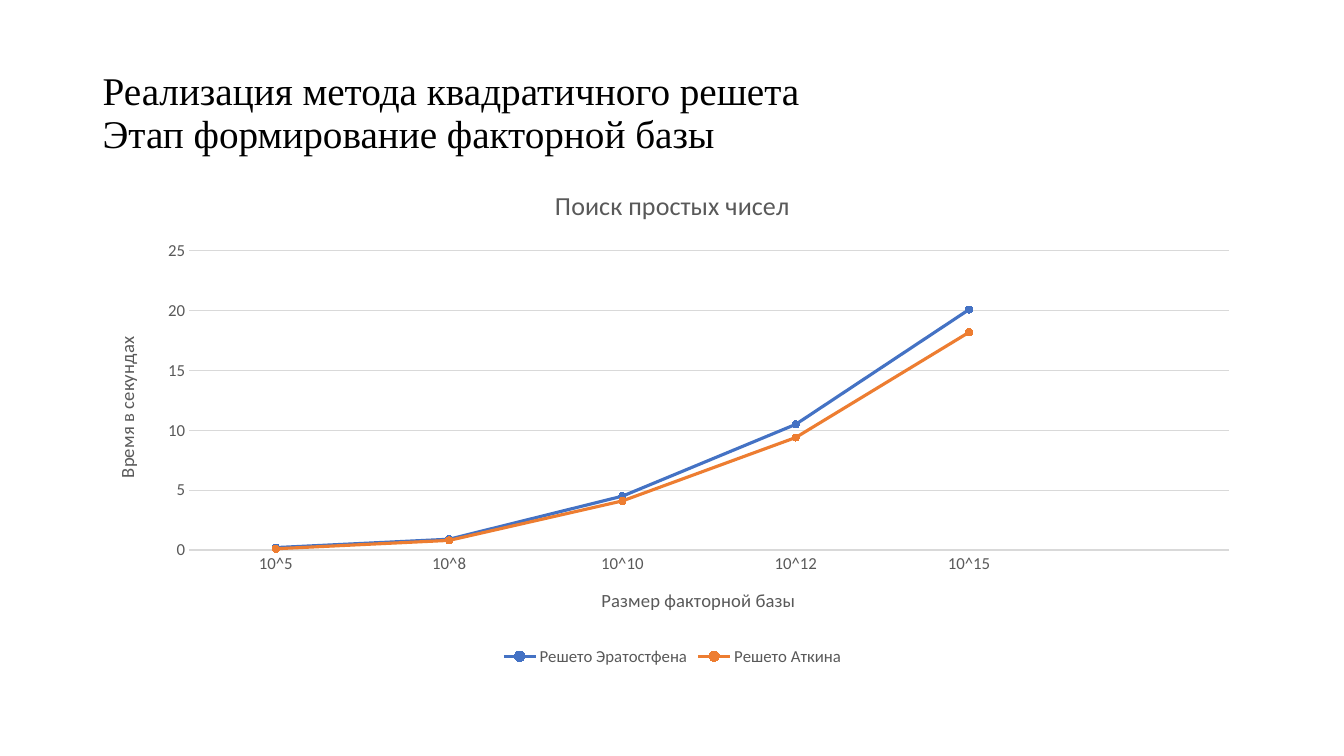
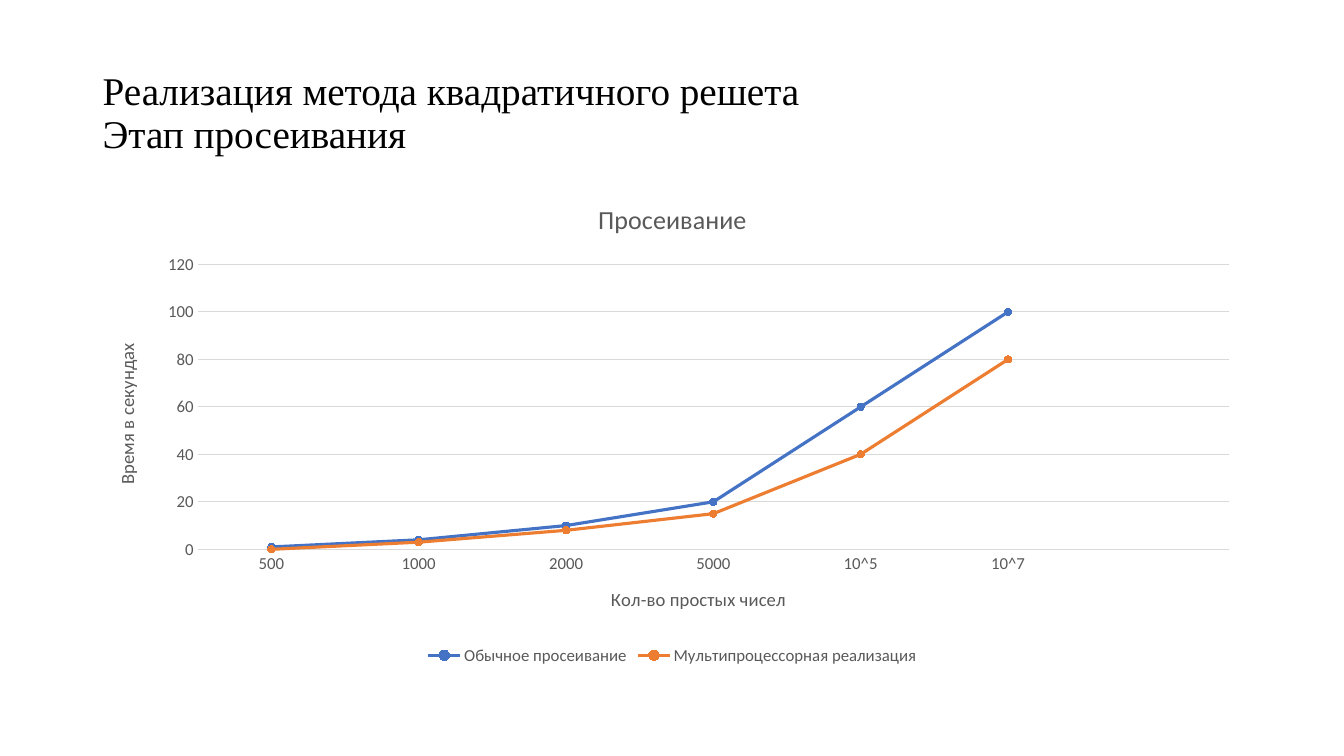
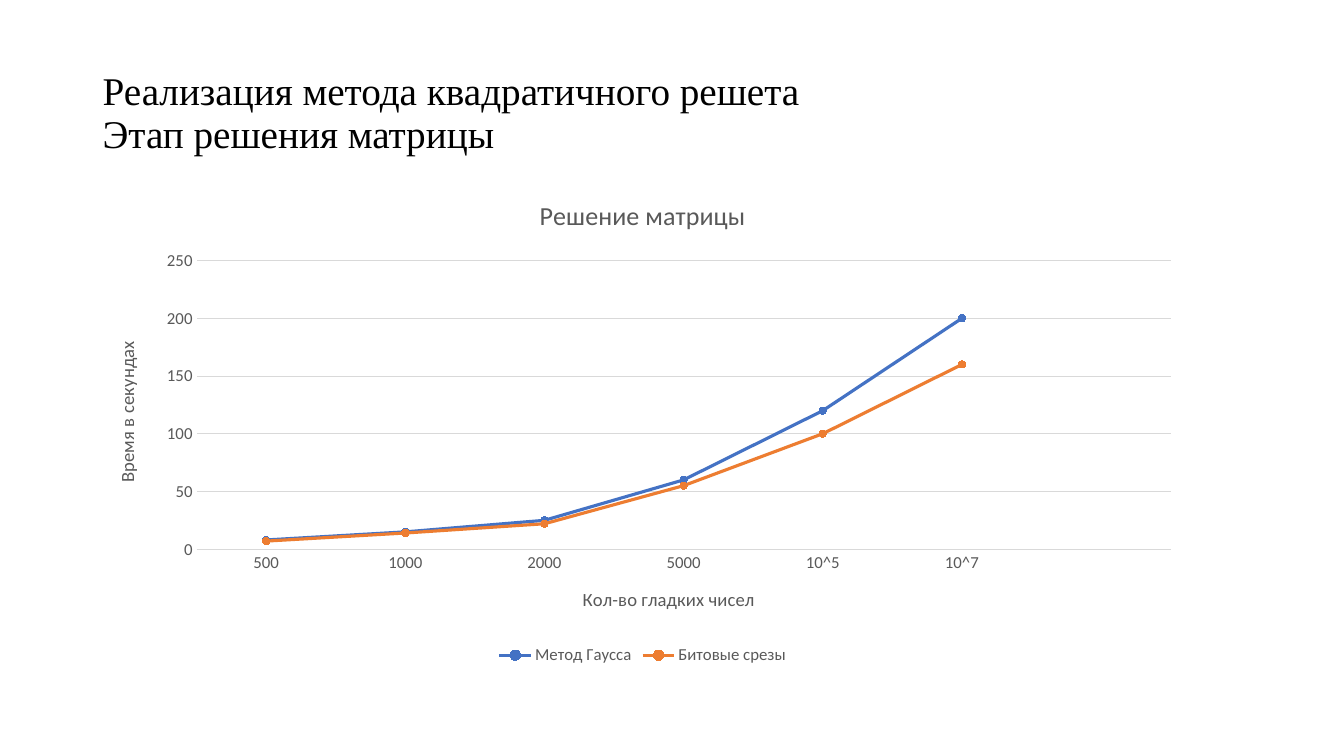
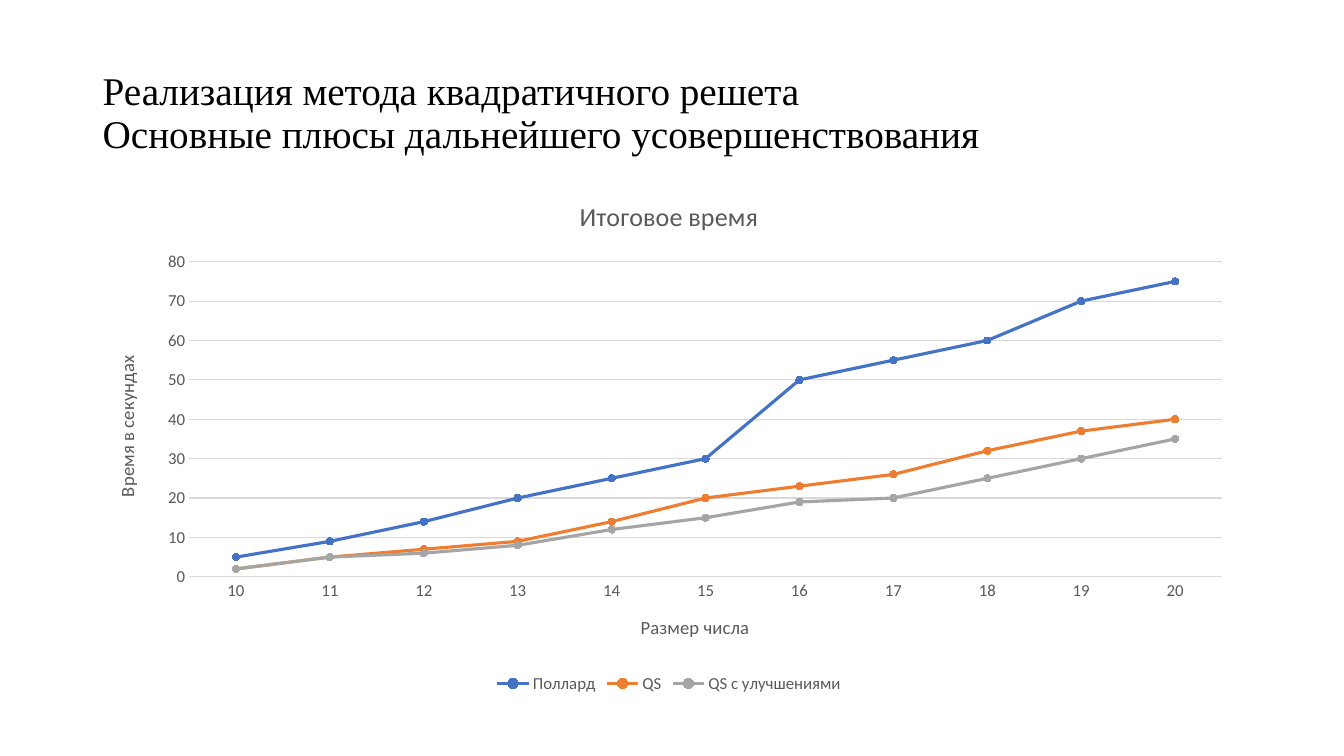
"""Build four slides that chart the timing of the quadratic sieve stages."""
from dataclasses import dataclass
from typing import Optional

from pptx import Presentation
from pptx.chart.data import CategoryChartData
from pptx.dml.color import RGBColor
from pptx.enum.chart import XL_CHART_TYPE as ChartType
from pptx.enum.chart import XL_LEGEND_POSITION as LegendPosition
from pptx.enum.chart import XL_MARKER_STYLE as MarkerStyle
from pptx.enum.chart import XL_TICK_MARK as TickMark
from pptx.enum.text import MSO_ANCHOR as Anchor
from pptx.util import Inches, Pt

COLORS = {
    "background": "FFFFFF",
    "title": "000000",
    "label": "595959",
    "grid": "D9D9D9",
}
SERIES_COLORS = {0: "4472C4", 1: "ED7D31", 2: "A5A5A5"}
TITLE_FONT = "Times New Roman"
CHART_FONT = "Calibri"
LEFT = 0.92
CONTENT_WIDTH = 11.5
HEADING = "Реализация метода квадратичного решета"
TIME_LABEL = "Время в секундах"


@dataclass(frozen=True)
class Series:
    name: str
    values: tuple[Optional[float], ...]


@dataclass(frozen=True)
class ChartSlide:
    subtitle: str
    chart_title: str
    category_label: str
    categories: tuple[str, ...]
    series: tuple[Series, ...]
    top: float
    height: float
    width: float = CONTENT_WIDTH


PRIME_COUNTS = ("500", "1000", "2000", "5000", "10^5", "10^7", "")

SLIDES = (
    ChartSlide(
        "Этап формирование факторной базы",
        "Поиск простых чисел",
        "Размер факторной базы",
        ("10^5", "10^8", "10^10", "10^12", "10^15", ""),
        (
            Series("Решето Эратостфена", (0.2, 0.9, 4.5, 10.5, 20.1, None)),
            Series("Решето Аткина", (0.1, 0.8, 4.1, 9.4, 18.2, None)),
        ),
        top=1.66,
        height=4.99,
    ),
    ChartSlide(
        "Этап просеивания",
        "Просеивание",
        "Кол-во простых чисел",
        PRIME_COUNTS,
        (
            Series("Обычное просеивание", (1, 4, 10, 20, 60, 100, None)),
            Series("Мультипроцессорная реализация", (0, 3, 8, 15, 40, 80, None)),
        ),
        top=1.8,
        height=4.84,
    ),
    ChartSlide(
        "Этап решения матрицы",
        "Решение матрицы",
        "Кол-во гладких чисел",
        PRIME_COUNTS,
        (
            Series("Метод Гаусса", (8, 15, 25, 60, 120, 200, None)),
            Series("Битовые срезы", (7, 14, 22, 55, 100, 160, None)),
        ),
        top=1.76,
        height=4.88,
        width=10.91,
    ),
    ChartSlide(
        "Основные плюсы дальнейшего усовершенствования",
        "Итоговое время",
        "Размер числа",
        tuple(str(size) for size in range(10, 21)),
        (
            Series("Поллард", (5, 9, 14, 20, 25, 30, 50, 55, 60, 70, 75)),
            Series("QS", (2, 5, 7, 9, 14, 20, 23, 26, 32, 37, 40)),
            Series("QS с улучшениями", (2, 5, 6, 8, 12, 15, 19, 20, 25, 30, 35)),
        ),
        top=1.76,
        height=5.16,
        width=11.43,
    ),
)


def style_font(font, *, size: float, color: str, name: str = CHART_FONT) -> None:
    font.name = name
    font.size = Pt(size)
    font.bold = False
    font.color.rgb = RGBColor.from_string(color)


def style_line(line, color: str, width: float) -> None:
    line.color.rgb = RGBColor.from_string(color)
    line.width = Pt(width)


def write_text(text_frame, text: str, *, size: float, color: str,
               name: str = CHART_FONT, line_spacing: Optional[float] = None) -> None:
    paragraph = text_frame.paragraphs[0]
    for index, line in enumerate(text.split("\n")):
        if index:
            paragraph.add_line_break()
        run = paragraph.add_run()
        run.text = line
        style_font(run.font, size=size, color=color, name=name)
    if line_spacing:
        paragraph.line_spacing = line_spacing


def add_title(slide, subtitle: str) -> None:
    shape = slide.shapes.add_textbox(
        Inches(LEFT), Inches(0.4), Inches(CONTENT_WIDTH), Inches(1.47))
    text_frame = shape.text_frame
    text_frame.word_wrap = True
    text_frame.vertical_anchor = Anchor.MIDDLE
    write_text(text_frame, f"{HEADING}\n{subtitle}", size=28,
               color=COLORS["title"], name=TITLE_FONT, line_spacing=0.9)


def style_axis(axis, label: str) -> None:
    axis.major_tick_mark = TickMark.NONE
    axis.minor_tick_mark = TickMark.NONE
    style_font(axis.tick_labels.font, size=12, color=COLORS["label"])
    write_text(axis.axis_title.text_frame, label, size=13.3, color=COLORS["label"])


def style_series(series, color: str) -> None:
    series.smooth = False
    style_line(series.format.line, color, 2.25)
    marker = series.marker
    marker.style = MarkerStyle.CIRCLE
    marker.size = 5
    marker.format.fill.solid()
    marker.format.fill.fore_color.rgb = RGBColor.from_string(color)
    style_line(marker.format.line, color, 0.75)


def add_line_chart(slide, content: ChartSlide) -> None:
    data = CategoryChartData()
    data.categories = content.categories
    for series in content.series:
        data.add_series(series.name, series.values)
    chart = slide.shapes.add_chart(
        ChartType.LINE_MARKERS, Inches(LEFT), Inches(content.top),
        Inches(content.width), Inches(content.height), data).chart
    style_font(chart.font, size=10, color=COLORS["title"])

    write_text(chart.chart_title.text_frame, content.chart_title,
               size=18.6, color=COLORS["label"])
    chart.chart_title.include_in_layout = False
    chart.has_legend = True
    chart.legend.position = LegendPosition.BOTTOM
    chart.legend.include_in_layout = False
    style_font(chart.legend.font, size=12, color=COLORS["label"])

    style_axis(chart.category_axis, content.category_label)
    style_line(chart.category_axis.format.line, COLORS["grid"], 0.75)
    style_axis(chart.value_axis, TIME_LABEL)
    chart.value_axis.format.line.fill.background()
    style_line(chart.value_axis.major_gridlines.format.line, COLORS["grid"], 0.75)

    plot = chart.plots[0]
    plot.vary_by_categories = False
    for index, series in enumerate(plot.series):
        style_series(series, SERIES_COLORS[index])


def add_chart_slide(presentation, content: ChartSlide) -> None:
    slide = presentation.slides.add_slide(presentation.slide_layouts[6])
    slide.background.fill.solid()
    slide.background.fill.fore_color.rgb = RGBColor.from_string(COLORS["background"])
    add_title(slide, content.subtitle)
    add_line_chart(slide, content)


def main() -> None:
    presentation = Presentation()
    presentation.slide_width = Inches(13.33)
    presentation.slide_height = Inches(7.5)
    for content in SLIDES:
        add_chart_slide(presentation, content)
    presentation.save("out.pptx")


if __name__ == "__main__":
    main()
